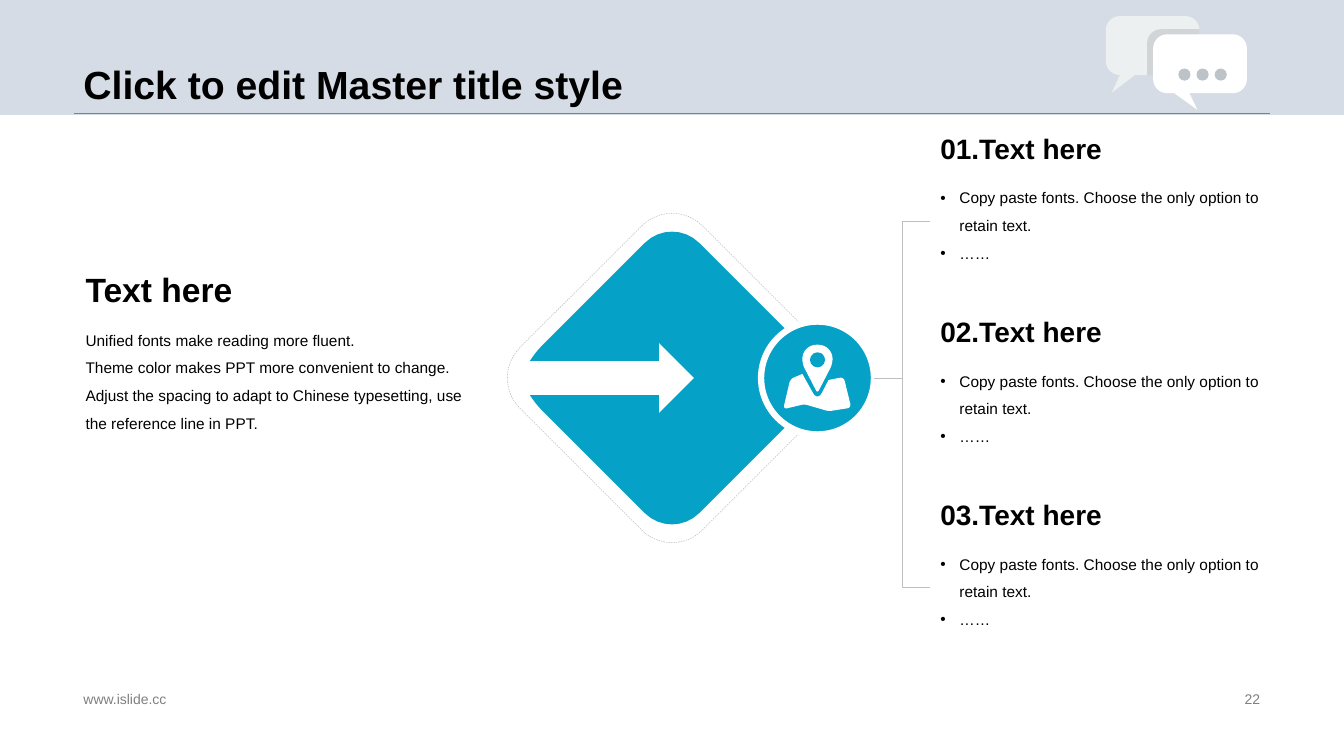
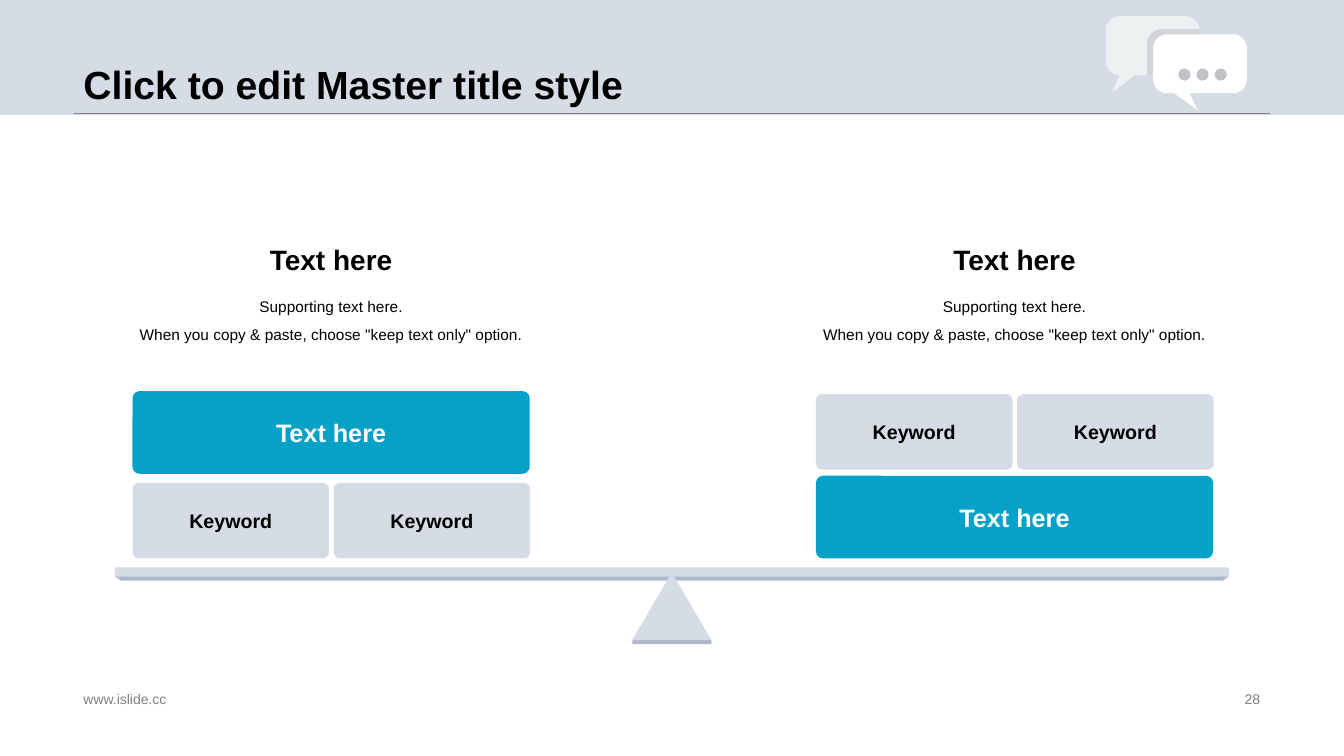
from dataclasses import dataclass
from math import hypot

from lxml import etree
from pptx import Presentation, util as u
from pptx.dml.color import RGBColor
from pptx.enum import dml, shapes, text
from pptx.oxml import ns

CELL = u.Inches(0.1)  # every length below counts cells of this grid
COLUMNS, ROWS = 133.33, 75
KIND = shapes.MSO_SHAPE
LEFT, CENTER, RIGHT = text.PP_ALIGN.LEFT, text.PP_ALIGN.CENTER, text.PP_ALIGN.RIGHT
TOP, MIDDLE, BOTTOM = text.MSO_ANCHOR.TOP, text.MSO_ANCHOR.MIDDLE, text.MSO_ANCHOR.BOTTOM


@dataclass(frozen=True)
class Theme:
    font: str = "Arial"
    accent: str = "06A1C6"
    pale: str = "D6DCE5"
    shade: str = "ADB9CA"
    white: str = "FFFFFF"
    ink: str = "000000"
    gray: str = "808080"
    dash: str = "A6A6A6"
    bracket: str = "BFBFBF"
    bubble_back: str = "ECF0F1"
    bubble_shadow: str = "D2D5D8"
    dots: str = "BDC3C7"
    title: int = 28
    lead: int = 24
    heading: int = 20
    block: int = 18
    keyword: int = 14
    body: int = 11
    footer: int = 10
    hairline: float = 0.25


THEME = Theme()


@dataclass(frozen=True)
class Box:
    x: float
    y: float
    width: float
    height: float

    def area(self, x, y, width, height):
        """Return a box whose place is counted from this box's corner."""
        return Box(self.x + x, self.y + y, width, height)

    def emu(self):
        return [cells(v) for v in (self.x, self.y, self.width, self.height)]


def cells(count):
    return u.Emu(round(count * CELL))


def assign(target, values):
    for name, value in values.items():
        setattr(target, name, value)


def paint(shape, fill=None, line=None, width=THEME.hairline):
    shape.shadow.inherit = False
    if fill:
        shape.fill.solid()
        shape.fill.fore_color.rgb = RGBColor.from_string(fill)
    else:
        shape.fill.background()
    if line:
        shape.line.color.rgb = RGBColor.from_string(line)
        shape.line.width = u.Pt(width)
    else:
        shape.line.fill.background()
    return shape


def preset(slide, kind, box, **look):
    return paint(slide.shapes.add_shape(kind, *box.emu()), **look)


def rounded_corner(before, corner, after, cut, steps=8):
    """Return points of a curve that leaves each edge at cut from the corner."""
    if not cut:
        return [corner]

    def toward(end, distance):
        share = distance / hypot(end[0] - corner[0], end[1] - corner[1])
        return [c + share * (e - c) for c, e in zip(corner, end)]

    inner = cut * 0.45
    controls = (toward(before, cut), toward(before, inner),
                toward(after, inner), toward(after, cut))
    curve = []
    for step in range(steps + 1):
        t = step / steps
        weights = ((1 - t) ** 3, 3 * t * (1 - t) ** 2, 3 * t * t * (1 - t), t ** 3)
        curve.append([sum(w * c[axis] for w, c in zip(weights, controls))
                      for axis in (0, 1)])
    return curve


def polygon(slide, box, corners, fill):
    """Draw corners (x, y, cut), counted from the box's corner."""
    points = []
    for index, (x, y, cut) in enumerate(corners):
        before, after = corners[index - 1], corners[(index + 1) % len(corners)]
        points += rounded_corner(before[:2], (x, y), after[:2], cut)
    points = [(cells(box.x + x), cells(box.y + y)) for x, y in points]
    builder = slide.shapes.build_freeform(*points[0], scale=1.0)
    builder.add_line_segments(points[1:], close=True)
    return paint(builder.convert_to_shape(), fill)


def sharp(*points):
    return [(x, y, 0) for x, y in points]


def add_bullet(paragraph):
    properties = paragraph._p.get_or_add_pPr()
    indent = u.Inches(0.19)
    properties.set("marL", str(indent))
    properties.set("indent", str(-indent))
    etree.SubElement(properties, ns.qn("a:buFont")).set("typeface", THEME.font)
    etree.SubElement(properties, ns.qn("a:buChar")).set("char", "•")


def write(shape, lines, size, color=THEME.ink, bold=False, align=LEFT,
          anchor=MIDDLE, spacing=1.0, bullets=False):
    frame = shape.text_frame
    assign(frame, {"word_wrap": True, "vertical_anchor": anchor})
    for index, line in enumerate(lines):
        paragraph = frame.add_paragraph() if index else frame.paragraphs[0]
        if bullets:
            add_bullet(paragraph)
        assign(paragraph, {"text": line, "alignment": align, "line_spacing": spacing})
        assign(paragraph.font, {"name": THEME.font, "size": u.Pt(size), "bold": bold})
        paragraph.font.color.rgb = RGBColor.from_string(color)


def label(slide, box, *lines, **style):
    write(slide.shapes.add_textbox(*box.emu()), lines, **style)


def body(slide, box, *lines, **style):
    label(slide, box, *lines, size=THEME.body, anchor=TOP, spacing=1.5, **style)


def connect(slide, kind, start, end, color):
    ends = [cells(v) for v in (*start, *end)]
    connector = slide.shapes.add_connector(kind, *ends)
    connector.line.color.rgb = RGBColor.from_string(color)
    connector.line.width = u.Pt(THEME.hairline)
    etree.SubElement(connector._element.spPr, ns.qn("a:effectLst"))


def speech_bubble(slide, box, tail, fill):
    """Draw a bubble; tail holds the x of its right root, tip and left root."""
    width, bottom, cut = box.width, 5.85, 1.4
    right_root, tip, left_root = tail
    polygon(slide, box, [
        (0, 0, cut), (width, 0, cut), (width, bottom, cut),
        *sharp((right_root, bottom), (tip, box.height), (left_root, bottom)),
        (0, bottom, cut)], fill)


def chat_icon(slide, box):
    speech_bubble(slide, box.area(0, 0, 9.3, 7.6), (2.9, 0.6, 1.4), THEME.bubble_back)
    polygon(slide, box.area(4.1, 1.3, 5.2, 4.6), [
        (0, 0, 1.4), *sharp((5.2, 0), (5.2, 3.9), (2, 3.9), (1.2, 4.5), (0, 4.6))],
        THEME.bubble_shadow)
    speech_bubble(slide, box.area(4.7, 1.8, 9.3, 7.5), (3.6, 4.4, 2.1), THEME.white)
    for index in range(3):
        preset(slide, KIND.OVAL, box.area(7.2 + 1.8 * index, 5.2, 1.2, 1.2),
               fill=THEME.dots)


def slide_frame(slide, box, title, address, number):
    left, width, line_row = 7.3, 118.7, 11.2
    preset(slide, KIND.RECTANGLE, box.area(0, 0, box.width, 11.4), fill=THEME.pale)
    chat_icon(slide, box.area(109.7, 1.6, 14, 9.3))
    connect(slide, shapes.MSO_CONNECTOR.STRAIGHT, (box.x + left, box.y + line_row),
            (box.x + left + width, box.y + line_row), THEME.gray)
    label(slide, box.area(left, 0, width, line_row), title, size=THEME.title,
          bold=True, anchor=BOTTOM, spacing=0.9)
    for x, columns, words, align in ((left, 45.3, address, LEFT),
                                     (94.2, 31.8, number, RIGHT)):
        label(slide, box.area(x, 68.2, columns, 2.3), words, size=THEME.footer,
              color=THEME.gray, align=align)


def lead_text(slide, box):
    label(slide, box.area(0, 0, box.width, 4.8), "Text here", size=THEME.lead,
          bold=True, anchor=TOP, spacing=0.9)
    body(slide, box.area(0, 4.8, box.width, 17),
         "Unified fonts make reading more fluent.",
         "Theme color makes PPT more convenient to change.",
         "Adjust the spacing to adapt to Chinese typesetting, use the reference line in PPT.")


def diamond(slide, box):
    """Draw a tilted square with an arrow cut into it, inside a dashed outline."""
    outline = preset(slide, KIND.ROUNDED_RECTANGLE, box, line=THEME.dash)
    outline.rotation = 45
    outline.line.dash_style = dml.MSO_LINE.DASH
    reach, cut = 16.1, 3.8
    arrow = [(-14.1, 1.7), (-1.3, 1.7), (-1.3, 3.5), (2.2, 0),
             (-1.3, -3.5), (-1.3, -1.7), (-14.1, -1.7)]
    center = box.area(box.width / 2, box.height / 2, 0, 0)
    polygon(slide, center, [
        (0, -reach, cut), (reach, 0, cut), (0, reach, cut),
        (-13.4, 2.7, 0.6), *sharp(*arrow), (-13.4, -2.7, 0.6)], THEME.accent)


def map_badge(slide, box):
    preset(slide, KIND.OVAL, box, fill=THEME.accent, line=THEME.white, width=4.5)
    icon = box.area(2.2, 2.3, 6.7, 6.5)
    polygon(slide, icon, [
        (1.9, 2.9, 0), (3.4, 5.6, 0.9), (4.5, 3.5, 0), (6, 3.2, 0.4),
        (6.75, 6.25, 0.4), (4.5, 6.6, 0.3), (2.1, 5.9, 0.3), (0, 6.4, 0.4),
        (0.7, 3.4, 0.4)], THEME.white)
    polygon(slide, icon, [
        (1.9, 0, 1.4), (4.9, 0, 1.4), (4.9, 1.9, 0.5), (3.4, 4.8, 0.3),
        (1.9, 1.9, 0.5)], THEME.white)
    preset(slide, KIND.OVAL, icon.area(2.65, 0.75, 1.5, 1.5), fill=THEME.accent)


def numbered_list(slide, box, origin):
    """Stack three entries and lead a bracket from origin to the outer two."""
    pitch, heading_rows, body_rows = 18.16, 5.1, 9.2
    for index in range(3):
        entry = box.area(0, index * pitch, box.width, heading_rows)
        details = entry.area(0, heading_rows, box.width, body_rows)
        body(slide, details, "Copy paste fonts. Choose the only option to retain text.",
             "……", bullets=True)
        label(slide, entry, f"0{index + 1}.Text here", size=THEME.heading, bold=True)
        if index != 1:
            connect(slide, shapes.MSO_CONNECTOR.ELBOW, origin,
                    (details.x, details.y + body_rows / 2), THEME.bracket)


def block(slide, box, words, fill, cut, **style):
    shape = preset(slide, KIND.ROUNDED_RECTANGLE, box, fill=fill)
    shape.adjustments[0] = cut / box.height
    write(shape, [words], bold=True, align=CENTER, **style)


def pan(slide, box, main_row, keyword_row):
    """Place one side of the scale: words above, then one wide and two small blocks."""
    label(slide, box.area(0, 0, box.width, 4.8), "Text here", size=THEME.heading,
          bold=True, align=CENTER)
    body(slide, box.area(0, 4.8, box.width, 7.6), "Supporting text here.",
         'When you copy & paste, choose "keep text only" option.', align=CENTER)
    block(slide, box.area(1.05, main_row, 39.4, 8.2), "Text here", THEME.accent, 0.7,
          size=THEME.block, color=THEME.white)
    for index in range(2):
        block(slide, box.area(1.05 + 19.95 * index, keyword_row, 19.5, 7.5),
              "Keyword", THEME.pale, 0.6, size=THEME.keyword)


def balance(slide, box):
    width, plank = box.width, 0.9
    polygon(slide, box, sharp((0, 0.4), (width, 0.4), (width, 0.9),
                              (width - 0.6, 1.3), (0.6, 1.3), (0, 0.9)), THEME.shade)
    preset(slide, KIND.RECTANGLE, box.area(0, 0, width, plank), fill=THEME.pale)
    half, middle = 3.92, width / 2
    polygon(slide, box, sharp((middle - half, 7.6), (middle - half, 7.2),
                              (middle, 0.8), (middle + half, 7.2),
                              (middle + half, 7.6)), THEME.shade)
    polygon(slide, box, sharp((middle - half, 7.2), (middle, 0.5),
                              (middle + half, 7.2)), THEME.pale)


def diamond_slide(slide, box):
    lead_text(slide, box.area(7.5, 26.6, 41.5, 21.8))
    diamond(slide, box.area(53.87, 24.7, 25.6, 25.6))
    badge = box.area(75.5, 31.9, 11.2, 11.2)
    map_badge(slide, badge)
    numbered_list(slide, box.area(92.3, 12.2, 33.7, 50.6),
                  (badge.x + badge.width, badge.y + badge.height / 2))


def scale_slide(slide, box):
    balance(slide, box.area(11.4, 56.3, 110.5, 7.6))
    pan(slide, box.area(12.1, 23.3, 41.5, 32.1), main_row=15.5, keyword_row=24.6)
    pan(slide, box.area(79.9, 23.3, 41.5, 32.1), main_row=23.9, keyword_row=15.8)


def main():
    presentation = Presentation()
    assign(presentation, {"slide_width": cells(COLUMNS), "slide_height": cells(ROWS)})
    page = Box(0, 0, COLUMNS, ROWS)
    for number, fill_slide in (("22", diamond_slide), ("28", scale_slide)):
        slide = presentation.slides.add_slide(presentation.slide_layouts[6])
        slide_frame(slide, page, "Click to edit Master title style", "www.islide.cc", number)
        fill_slide(slide, page)
    presentation.save("out.pptx")


if __name__ == "__main__":
    main()
